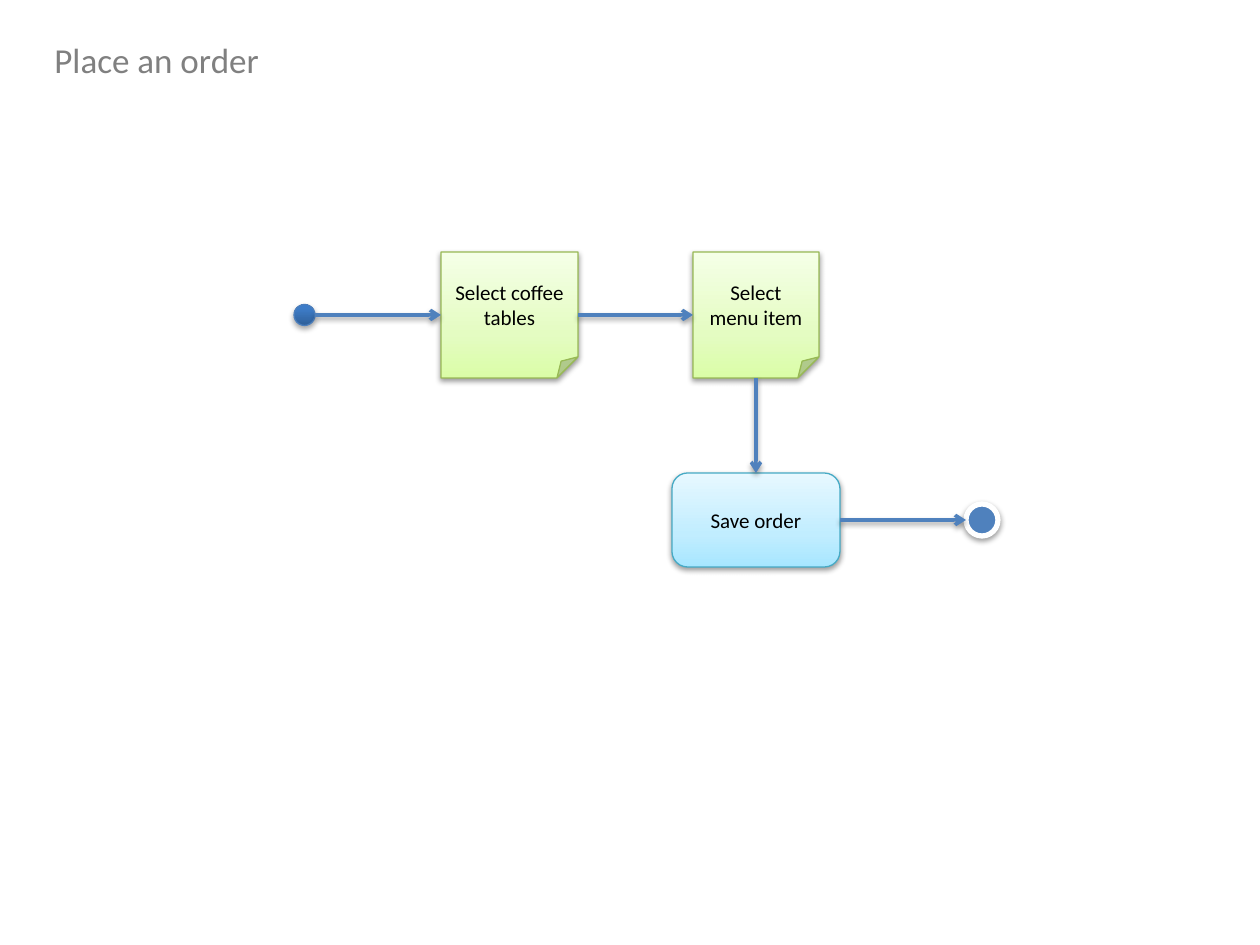
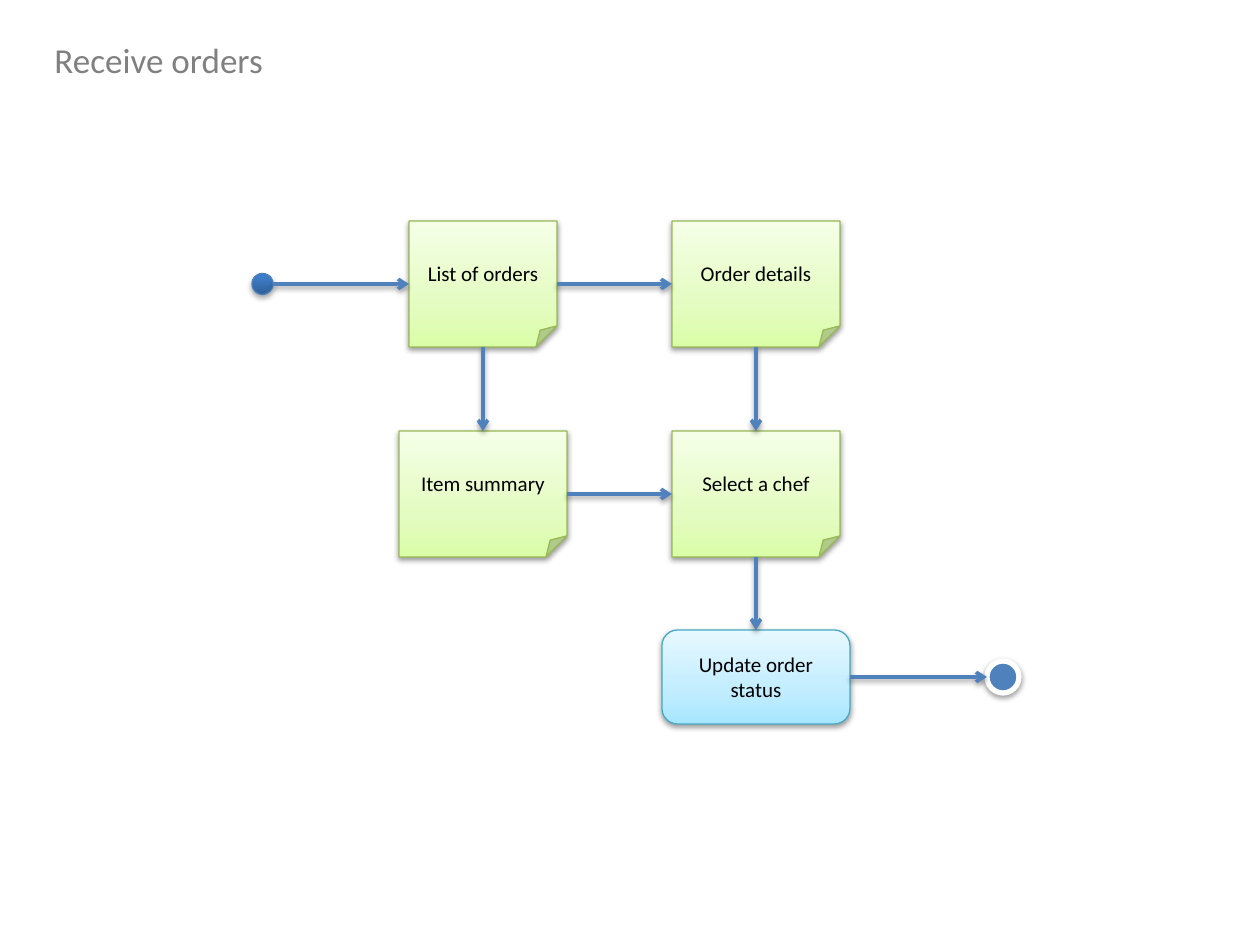
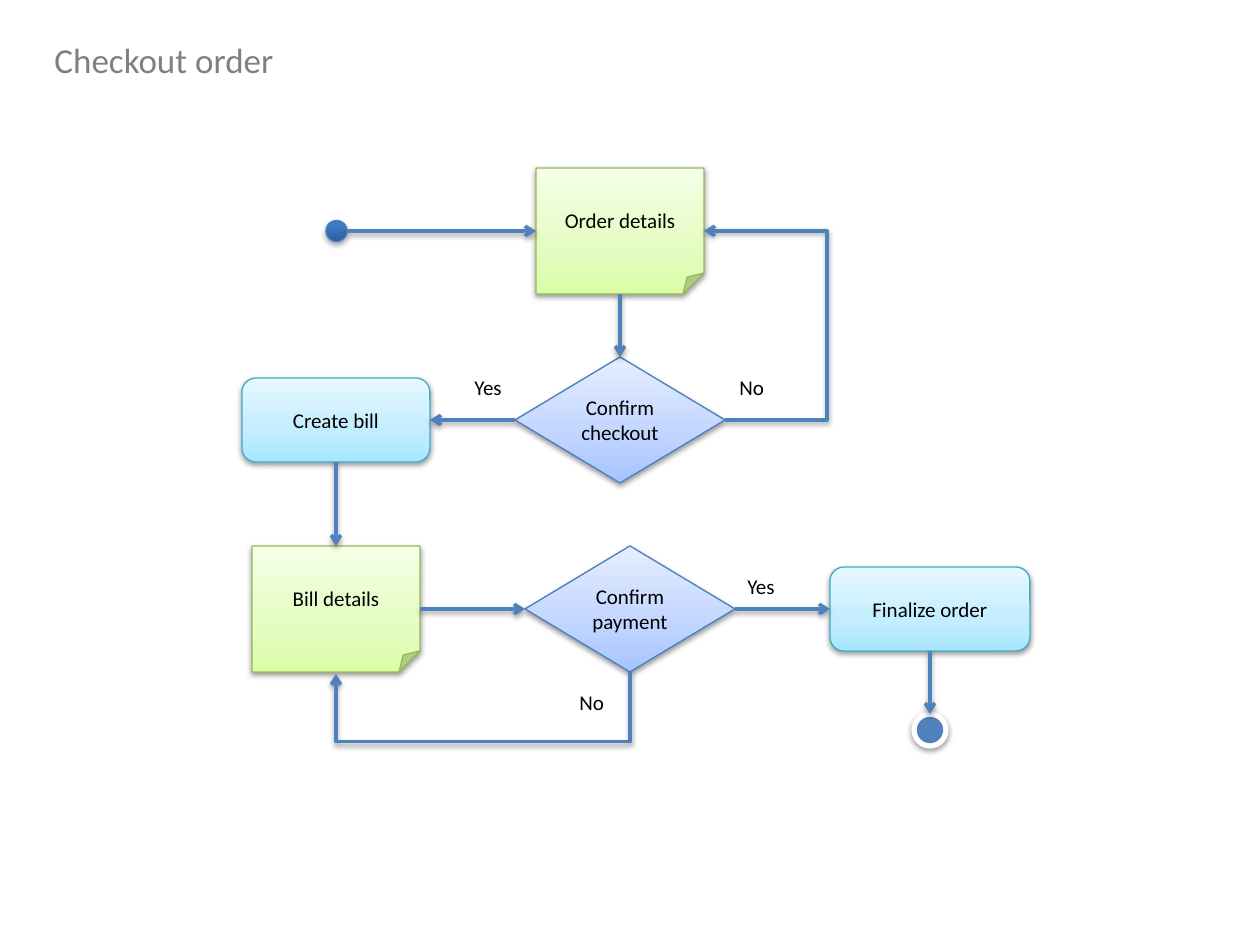
from lxml import etree
from pptx import Presentation
from pptx.dml.color import RGBColor
from pptx.enum.shapes import MSO_CONNECTOR as CONNECTOR, MSO_SHAPE as SHAPE
from pptx.enum.text import MSO_ANCHOR, MSO_AUTO_SIZE, PP_ALIGN
from pptx.oxml.ns import qn
from pptx.util import Emu, Pt

SCALE = 914400 // 126
FONT = "Calibri"
BLUE, WHITE, BLACK, GREY = "4F81BD", "FFFFFF", "000000", "808080"
SOFT_SHADOW = (20000, 38)  # distance in EMU, opacity in percent
START_SHADOW = (23000, 35)

# Kind: preset, gradient stops from bottom to top, outline, shadow
GRADIENT_STYLES = {
    "start": (SHAPE.OVAL, [(0, "2F5F99"), (80, "3D7CC7"), (100, "3A7CCB")],
              "4B7EBC", START_SHADOW),
    "note": (SHAPE.FOLDED_CORNER, [(0, "DAFDA7"), (35, "E4FCC2"), (100, "F5FFE7")],
             "98B955", SOFT_SHADOW),
    "action": (SHAPE.ROUNDED_RECTANGLE, [(0, "A7E6FF"), (35, "C1EDFF"), (100, "E7F8FF")],
               "46AAC5", SOFT_SHADOW),
    "decision": (SHAPE.FLOWCHART_DECISION, [(0, "A4C4FF"), (35, "BFD4FF"), (100, "E6EEFF")],
                 "4B7EBC", SOFT_SHADOW),
}

# Nodes: name: (kind, text, left, middle, width, height)
# Arrows: (from, side, to, side)
# Loops: the same, then the x or y of the far run
# Labels: (text, left, top, width)
SLIDES = [
    {
        "title": ("Place an order", 232),
        "nodes": {
            "start": ("start", "", 294, 315, 21, 21),
            "tables": ("note", "Select coffee tables", 441, 315, 137, 126),
            "menu": ("note", "Select menu item", 693, 315, 126, 126),
            "save": ("action", "Save order", 672, 520, 168, 94),
            "end": ("end", "", 966, 520, 32, 32),
        },
        "arrows": [
            ("start", "right", "tables", "left"),
            ("tables", "right", "menu", "left"),
            ("menu", "bottom", "save", "top"),
            ("save", "right", "end", "left"),
        ],
        "loops": [],
        "labels": [],
    },
    {
        "title": ("Receive orders", 236),
        "nodes": {
            "start": ("start", "", 252, 284, 21, 21),
            "list": ("note", "List of orders", 409, 284, 148, 126),
            "details": ("note", "Order details", 672, 284, 168, 126),
            "summary": ("note", "Item summary", 399, 494, 168, 126),
            "chef": ("note", "Select a chef", 672, 494, 168, 126),
            "update": ("action", "Update order status", 662, 677, 188, 94),
            "end": ("end", "", 987, 677, 32, 32),
        },
        "arrows": [
            ("start", "right", "list", "left"),
            ("list", "right", "details", "left"),
            ("list", "bottom", "summary", "top"),
            ("summary", "right", "chef", "left"),
            ("details", "bottom", "chef", "top"),
            ("chef", "bottom", "update", "top"),
            ("update", "right", "end", "left"),
        ],
        "loops": [],
        "labels": [],
    },
    {
        "title": ("Checkout order", 247),
        "nodes": {
            "start": ("start", "", 326, 231, 21, 21),
            "create": ("action", "Create bill", 242, 420, 188, 84),
            "end": ("end", "", 914, 730, 32, 32),
            "details": ("note", "Order details", 536, 231, 168, 126),
            "checkout": ("decision", "Confirm checkout", 515, 420, 210, 126),
            "bill": ("note", "Bill details", 252, 609, 168, 126),
            "finalize": ("action", "Finalize order", 830, 609, 200, 84),
            "payment": ("decision", "Confirm payment", 525, 609, 210, 126),
        },
        "arrows": [
            ("start", "right", "details", "left"),
            ("details", "bottom", "checkout", "top"),
            ("checkout", "left", "create", "right"),
            ("create", "bottom", "bill", "top"),
            ("bill", "right", "payment", "left"),
            ("payment", "right", "finalize", "left"),
            ("finalize", "bottom", "end", "top"),
        ],
        "loops": [
            ("checkout", "right", "details", "right", 827),
            ("payment", "bottom", "bill", "bottom", 742),
        ],
        "labels": [
            ("No", 727, 368, 50), ("Yes", 462, 368, 53),
            ("Yes", 735, 567, 53), ("No", 567, 683, 50),
        ],
    },
]


def px(*values):
    return [Emu(round(value * SCALE)) for value in values]


def color(value):
    return RGBColor.from_string(value)


def add_child(parent, tag, **attributes):
    return etree.SubElement(parent, qn(tag), {k: str(v) for k, v in attributes.items()})


def add_color(parent, value):
    return add_child(parent, "a:srgbClr", val=value)


def set_shadow(effects, distance, opacity):
    shadow = add_child(effects, "a:outerShdw", blurRad=40000, dist=distance,
                       dir=5400000, rotWithShape=0)
    add_child(add_color(shadow, BLACK), "a:alpha", val=opacity * 1000)


def set_gradient(shape, stops):
    shape.fill.gradient()
    shape.fill.gradient_angle = 90
    stop_list = shape._element.spPr.find(qn("a:gradFill")).find(qn("a:gsLst"))
    for stop in list(stop_list):
        stop_list.remove(stop)
    for position, value in stops:
        add_color(add_child(stop_list, "a:gs", pos=position * 1000), value)


def set_line(line, value, width):
    line.color.rgb = color(value)
    line.width = Pt(width)


def write(frame, text, size, value):
    frame.text = text
    paragraph = frame.paragraphs[0]
    font = paragraph.font
    font.name, font.size, font.color.rgb = FONT, Pt(size), color(value)
    return paragraph


def add_label(slide, text, left, top, width, height=38, size=12, value=BLACK):
    frame = slide.shapes.add_textbox(*px(left, top, width, height)).text_frame
    frame.word_wrap = False
    frame.auto_size = MSO_AUTO_SIZE.SHAPE_TO_FIT_TEXT
    write(frame, text, size, value)


def add_node(slide, kind, text, left, middle, width, height):
    preset = SHAPE.OVAL if kind == "end" else GRADIENT_STYLES[kind][0]
    shape = slide.shapes.add_shape(preset, *px(left, middle - height / 2, width, height))
    if kind == "end":
        shape.fill.solid()
        shape.fill.fore_color.rgb = color(BLUE)
        set_line(shape.line, WHITE, 3)
        shadow = SOFT_SHADOW
    else:
        _, stops, outline, shadow = GRADIENT_STYLES[kind]
        set_gradient(shape, stops)
        set_line(shape.line, outline, 0.75)
    shape.shadow.inherit = False
    set_shadow(shape._element.spPr.find(qn("a:effectLst")), *shadow)
    if text:
        frame = shape.text_frame
        frame.word_wrap = True
        frame.vertical_anchor = MSO_ANCHOR.MIDDLE
        write(frame, text, 12, BLACK).alignment = PP_ALIGN.CENTER


def side_point(node, side):
    _, _, left, middle, width, height = node
    return {
        "left": (left, middle),
        "right": (left + width, middle),
        "top": (left + width / 2, middle - height / 2),
        "bottom": (left + width / 2, middle + height / 2),
    }[side]


def add_arrow(slide, start, end, kind=CONNECTOR.STRAIGHT):
    connector = slide.shapes.add_connector(kind, *px(*start, *end))
    set_line(connector.line, BLUE, 2)
    properties = connector._element.spPr
    add_child(properties.find(qn("a:ln")), "a:tailEnd", type="arrow")
    set_shadow(add_child(properties, "a:effectLst"), *SOFT_SHADOW)
    return properties


def add_loop(slide, start, end, side, bend):
    (x1, y1), (x2, y2) = start, end
    if side == "right":
        ratio = (bend - x1) / (x2 - x1)
        properties = add_arrow(slide, start, end, CONNECTOR.ELBOW)
    else:
        # A quarter turn about the centre; a small rise keeps the ratio finite
        rise = 2
        ratio = (bend - y1) / rise
        center_x, center_y, run = (x1 + x2) / 2, y1 + rise / 2, x1 - x2
        properties = add_arrow(slide, (center_x - rise / 2, center_y - run / 2),
                               (center_x + rise / 2, center_y + run / 2), CONNECTOR.ELBOW)
        properties.find(qn("a:xfrm")).set("rot", "5400000")
    adjustments = properties.find(qn("a:prstGeom")).find(qn("a:avLst"))
    add_child(adjustments, "a:gd", name="adj1", fmla=f"val {round(ratio * 100000)}")


presentation = Presentation()
presentation.slide_width, presentation.slide_height = px(1260, 945)

for content in SLIDES:
    slide = presentation.slides.add_slide(presentation.slide_layouts[6])
    title, title_width = content["title"]
    add_label(slide, title, 42, 32, title_width, 55, 20, GREY)

    nodes = content["nodes"]
    for node in nodes.values():
        add_node(slide, *node)
    for origin, side, target, target_side in content["arrows"]:
        add_arrow(slide, side_point(nodes[origin], side),
                  side_point(nodes[target], target_side))
    for origin, side, target, target_side, bend in content["loops"]:
        add_loop(slide, side_point(nodes[origin], side),
                 side_point(nodes[target], target_side), side, bend)
    for label in content["labels"]:
        add_label(slide, *label)

presentation.save("out.pptx")
